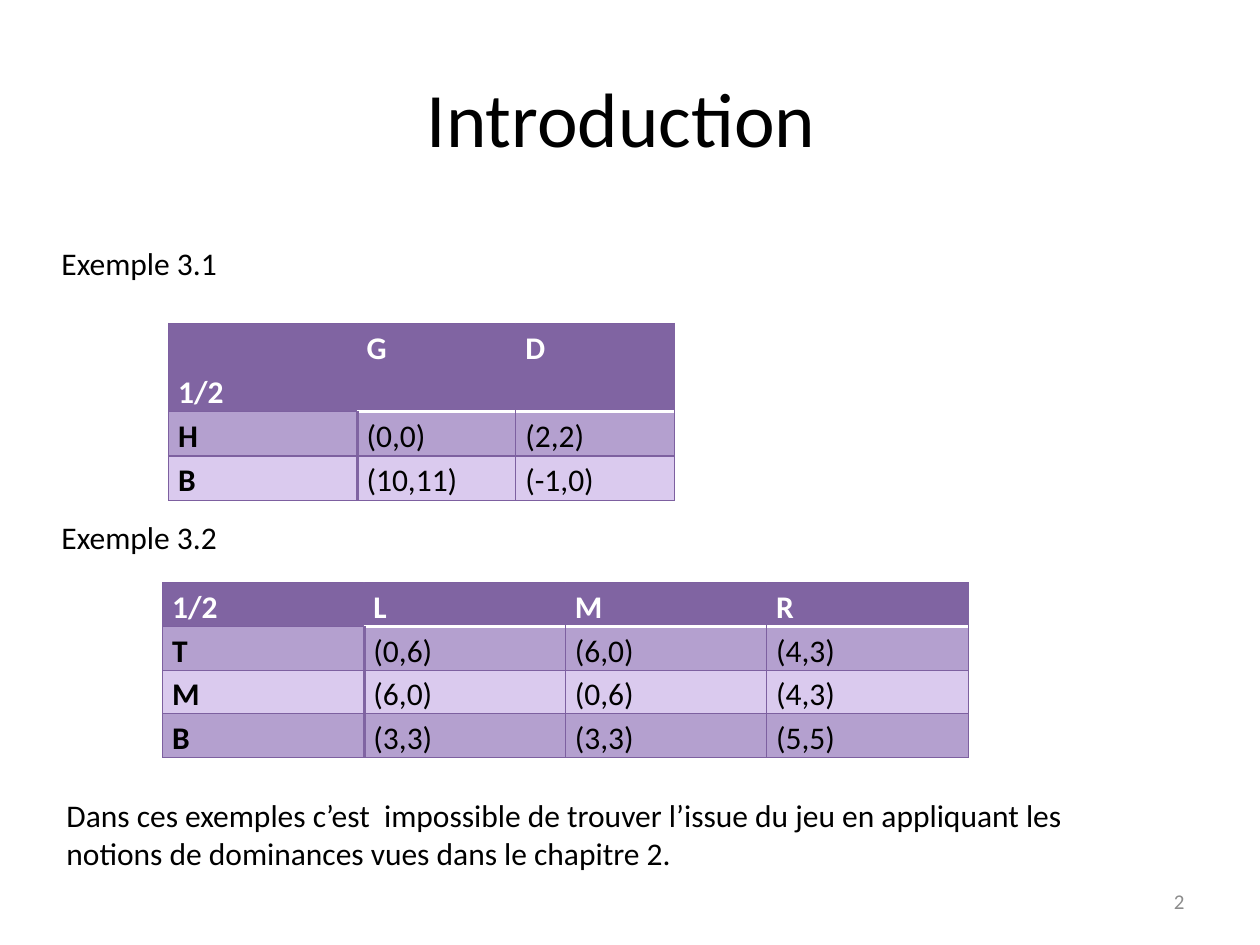
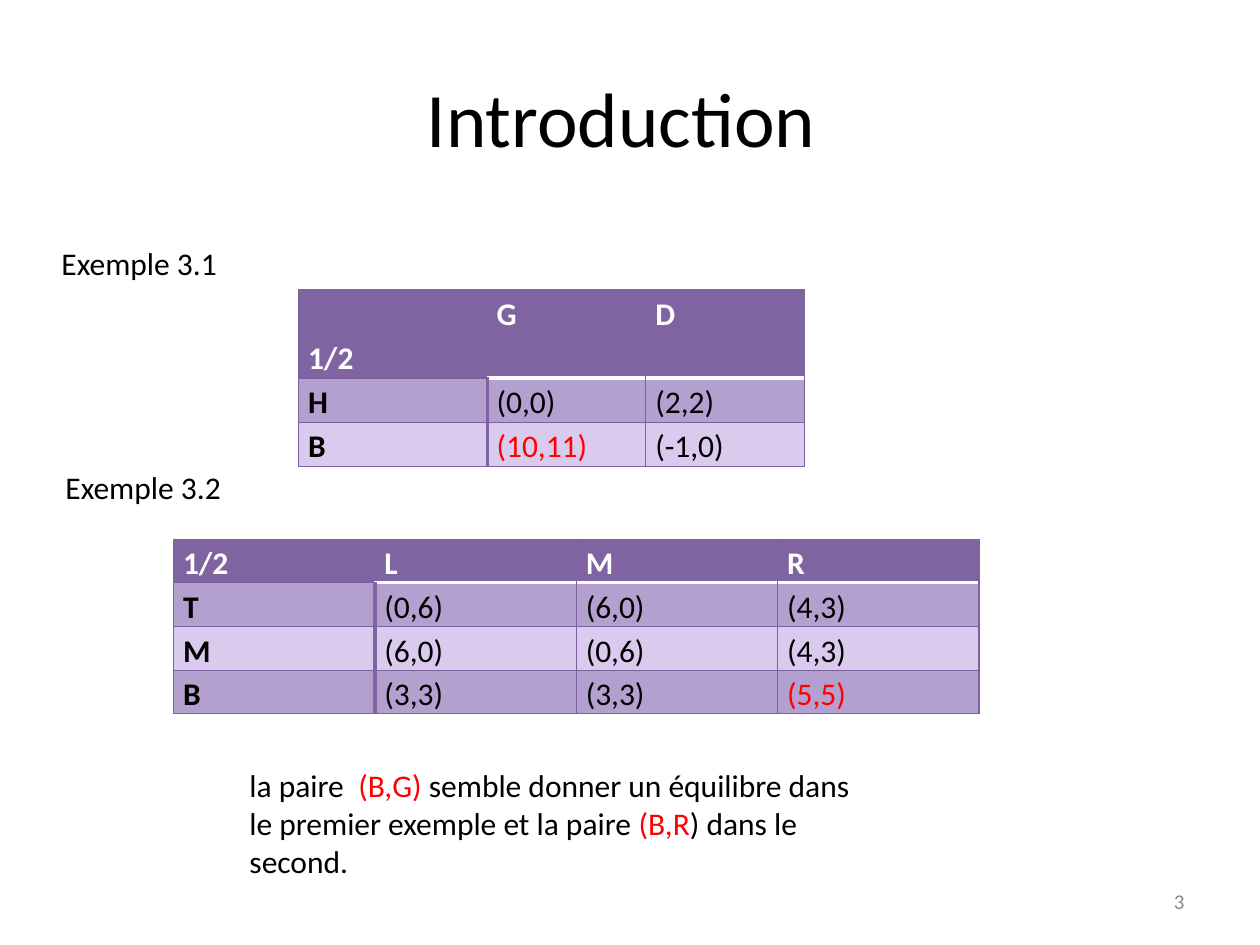
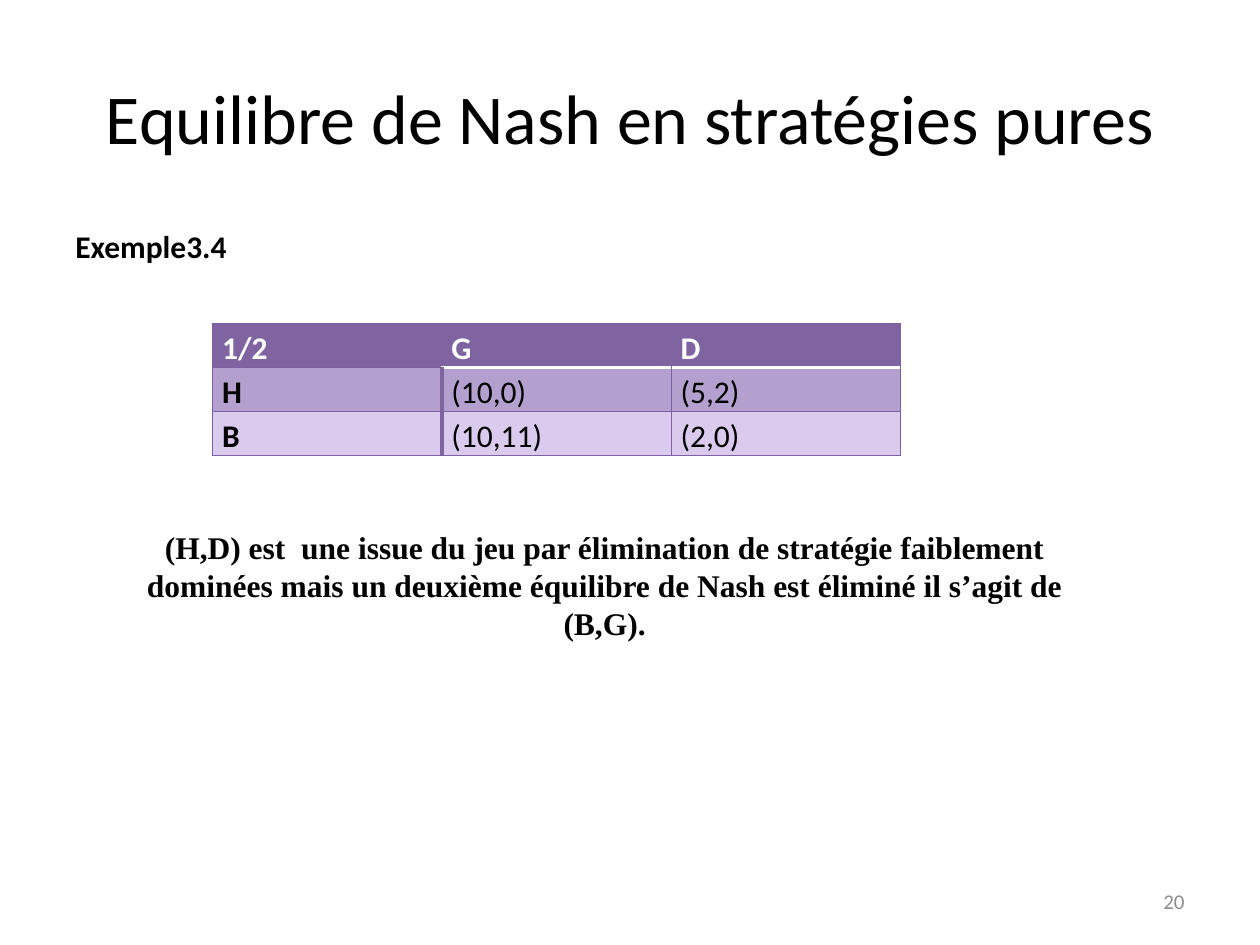
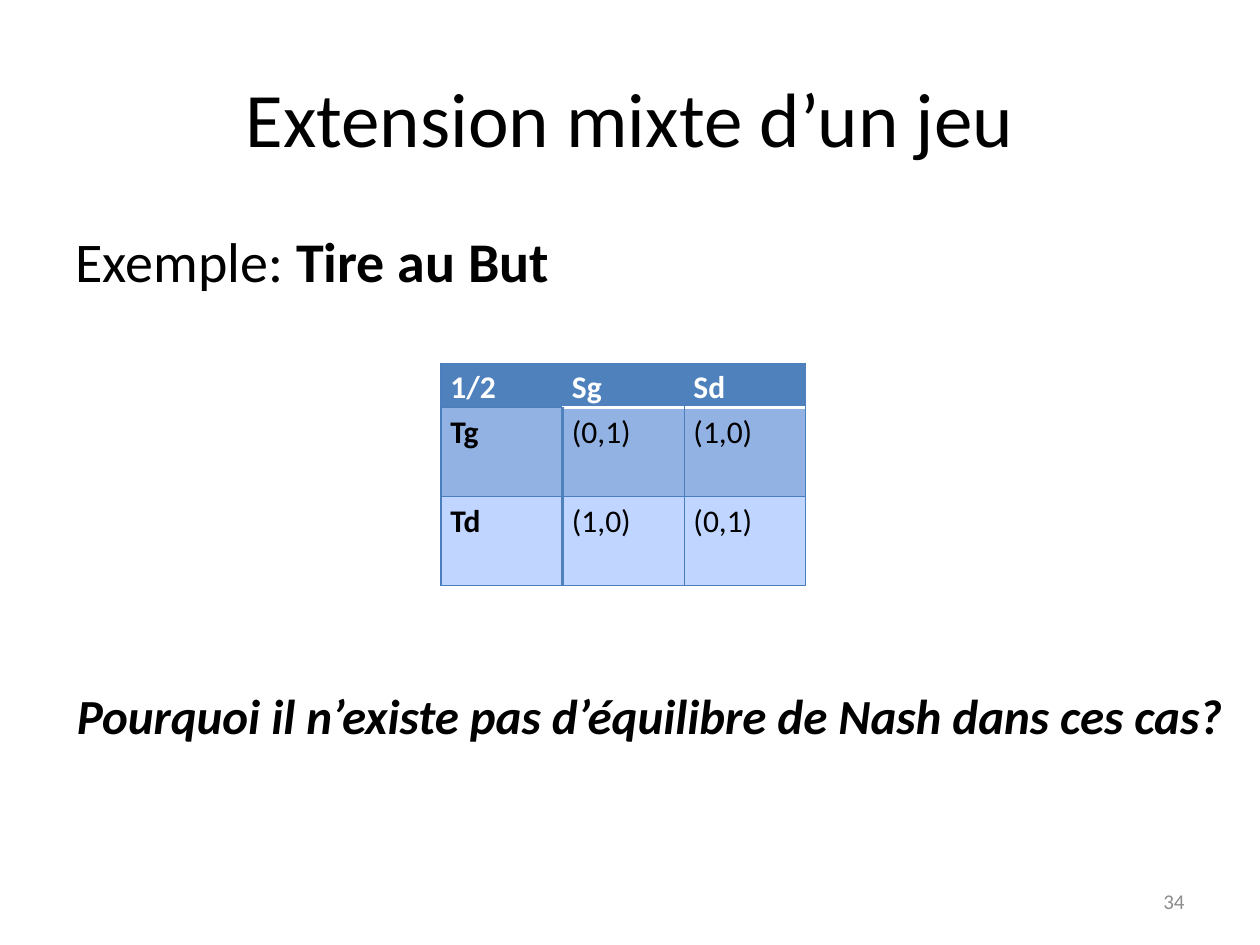
import dataclasses

import pptx
import pptx.dml.color
import pptx.enum.text
import pptx.oxml
import pptx.oxml.ns
import pptx.util
from pptx.util import Cm, Pt

ALIGN = pptx.enum.text.PP_ALIGN
ANCHOR = pptx.enum.text.MSO_ANCHOR
FIT = pptx.enum.text.MSO_AUTO_SIZE


@dataclasses.dataclass(frozen=True)
class Palette:
    """Colours of one payoff table."""
    header: str
    odd_row: str
    even_row: str
    border: str


@dataclasses.dataclass(frozen=True)
class Theme:
    font: str = "Calibri"
    serif: str = "Times New Roman"
    ink: str = "000000"
    paper: str = "FFFFFF"
    accent: str = "FF0000"
    muted: str = "8C8C8C"
    title: int = 44
    long_title: int = 40
    lead: int = 32
    question: int = 28
    body: int = 18
    footer: int = 12
    thin: float = 0.75
    thick: float = 2
    purple: Palette = Palette("8064A2", "B4A0CF", "DACAEE", "7D60A0")
    blue: Palette = Palette("4F81BD", "93B2E4", "C0D5FF", "4B7EBC")


THEME = Theme()


class Deck:
    def __init__(self, theme):
        self.theme = theme
        self.deck = pptx.Presentation()
        self.deck.slide_width, self.deck.slide_height = Cm(25.4), Cm(19.05)
        self.page = None

    def start(self, title, number, size=None):
        """Add a page with its title and page number."""
        self.page = self.deck.slides.add_slide(self.deck.slide_layouts[6])
        self.text((1.27, 0.76, 22.86, 3.18), title, size=size or self.theme.title,
                  align=ALIGN.CENTER, anchor=ANCHOR.MIDDLE)
        self.text((18.2, 17.66, 5.93, 1.01), str(number), size=self.theme.footer,
                  color=self.theme.muted, align=ALIGN.RIGHT, anchor=ANCHOR.MIDDLE)

    def style(self, span, size=None, color=None, bold=False, italic=False, font=None):
        span.font.name = font or self.theme.font
        span.font.size = Pt(size or self.theme.body)
        span.font.color.rgb = pptx.dml.color.RGBColor.from_string(color or self.theme.ink)
        span.font.bold = bold
        span.font.italic = italic

    def text(self, place, content, wrap=True, grow=False, align=ALIGN.LEFT,
             anchor=ANCHOR.TOP, **look):
        """Place a string, or one paragraph given as (text, look) spans."""
        box = self.page.shapes.add_textbox(*map(Cm, place))
        frame = box.text_frame
        frame.word_wrap = wrap
        frame.auto_size = FIT.SHAPE_TO_FIT_TEXT if grow else FIT.NONE
        frame.vertical_anchor = anchor
        if isinstance(content, str):
            frame.text = content
            for para in frame.paragraphs:
                for span in para.runs:
                    self.style(span, **look)
        else:
            for words, own_look in content:
                span = frame.paragraphs[0].add_run()
                span.text = words
                self.style(span, **{**look, **own_look})
        for para in frame.paragraphs:
            para.alignment = align

    def label(self, left, top, words):
        self.text((left, top, 3.68, 1.02), words, wrap=False, grow=True)

    def border(self, cell, position, edges):
        """Draw the edges of a cell, each given as (colour, width in points)."""
        properties = cell._tc.get_or_add_tcPr()
        for index, side in enumerate("LRTB"):
            color, width = edges[side]
            properties.insert(index, pptx.oxml.parse_xml(
                f'<a:ln{side} {pptx.oxml.ns.nsdecls("a")} w="{Pt(width)}"><a:solidFill>'
                f'<a:srgbClr val="{color}"/></a:solidFill></a:ln{side}>'))

    def cell_edges(self, row, column, palette):
        thin = (palette.border, self.theme.thin)
        divider = (palette.header, self.theme.thick)
        rule = (self.theme.paper, self.theme.thick)
        edges = dict.fromkeys("LRTB", thin)
        if row == 0:
            hidden = (palette.header, self.theme.thin)
            edges.update(L=thin if column == 0 else hidden, R=hidden)
        elif column < 2:
            edges["R" if column == 0 else "L"] = divider
        if row < 2 and column > 0:
            edges["B" if row == 0 else "T"] = rule
        return edges

    def payoffs(self, left, top, widths, heights, rows, palette=None, marked=None):
        """Add a game table; marked is the (row, column) shown in the accent colour."""
        theme = self.theme
        palette = palette or theme.purple
        frame = self.page.shapes.add_table(len(rows), len(widths), Cm(left), Cm(top),
                                           Cm(sum(widths)), Cm(sum(heights)))
        table = frame.table
        table.first_row = table.horz_banding = False
        for column, width in zip(table.columns, widths):
            column.width = Cm(width)
        for line, height in zip(table.rows, heights):
            line.height = Cm(height)
        for i, row in enumerate(rows):
            fill = palette.header if i == 0 else (palette.even_row, palette.odd_row)[i % 2]
            for j, words in enumerate(row):
                cell = table.cell(i, j)
                cell.margin_left = cell.margin_right = Cm(0.19)
                cell.margin_top = cell.margin_bottom = 0
                if (i, j) == (0, 0):
                    cell.vertical_anchor = ANCHOR.BOTTOM
                cell.fill.solid()
                cell.fill.fore_color.rgb = pptx.dml.color.RGBColor.from_string(fill)
                cell.text = words
                para = cell.text_frame.paragraphs[0]
                para.line_spacing = 1.15
                color = theme.paper if i == 0 else theme.accent if (i, j) == marked else theme.ink
                self.style(para.runs[0], color=color, bold=i == 0 or j == 0)
                self.border(cell, (i, j), self.cell_edges(i, j, palette))


TWO_BY_TWO = [("1/2", "G", "D"), ("H", "(0,0)", "(2,2)"), ("B", "(10,11)", "(-1,0)")]
THREE_BY_THREE = [("1/2", "L", "M", "R"), ("T", "(0,6)", "(6,0)", "(4,3)"),
                  ("M", "(6,0)", "(0,6)", "(4,3)"), ("B", "(3,3)", "(3,3)", "(5,5)")]


def add_introduction(deck, number, first, second, second_label, marks=(None, None)):
    """Add a page with both example games; places are (left, top)."""
    deck.start("Introduction ", number)
    deck.payoffs(*first, (3.8, 3.2, 3.2), (1.78, 0.89, 0.89), TWO_BY_TWO, marked=marks[0])
    deck.label(0.99, 4.8, "Exemple 3.1")
    deck.label(*second_label, "Exemple 3.2")
    deck.payoffs(*second, (4.06,) * 4, (0.88,) * 4, THREE_BY_THREE, marked=marks[1])


def main():
    deck = Deck(THEME)
    red = {"color": THEME.accent}

    add_introduction(deck, 2, (3.4, 6.52), (3.28, 11.75), (0.99, 10.31))
    deck.text((1.09, 15.93, 20.83, 1.8),
              "Dans ces exemples c’est  impossible de trouver l’issue du jeu en appliquant les\n"
              "notions de dominances vues dans le chapitre 2.", wrap=False, grow=True)

    add_introduction(deck, 3, (6.02, 5.84), (3.5, 10.87), (1.07, 9.32), ((2, 1), (3, 3)))
    deck.text((4.78, 15.32, 12.7, 2.57),
              [("la paire  ", {}), ("(B,G) ", red),
               ("semble donner un équilibre dans le premier exemple et la paire ", {}),
               ("(B,R", red), (") dans le second.", {})], grow=True)

    deck.start("Equilibre de Nash en stratégies pures", 20, THEME.long_title)
    deck.text((1.27, 4.45, 22.86, 12.57), "Exemple3.4", bold=True)
    deck.payoffs(4.29, 6.52, (4.62,) * 3, (0.89,) * 3,
                 [("1/2", "G", "D"), ("H", "(10,0)", "(5,2)"), ("B", "(10,11)", "(2,0)")])
    deck.text((2.69, 10.52, 19, 2.57),
              "(H,D) est  une issue du jeu par élimination de stratégie faiblement dominées "
              "mais un deuxième équilibre de Nash est éliminé il s’agit de (B,G).",
              grow=True, align=ALIGN.CENTER, bold=True, font=THEME.serif)

    deck.start("Extension mixte d’un jeu", 34)
    deck.text((1.27, 4.45, 23.42, 12.57),
              [("Exemple: ", {}), ("Tire au But", {"bold": True})], size=THEME.lead)
    deck.payoffs(8.89, 7.32, (2.45,) * 3, (0.89, 1.8, 1.8),
                 [("1/2", "Sg", "Sd"), ("Tg", "(0,1)", "(1,0)"), ("Td", "(1,0)", "(0,1)")],
                 THEME.blue)
    deck.text((1.3, 13.69, 23.98, 1.45),
              "Pourquoi il n’existe pas d’équilibre de Nash dans ces cas?",
              wrap=False, grow=True, size=THEME.question, bold=True, italic=True)

    deck.deck.save("out.pptx")


if __name__ == "__main__":
    main()
